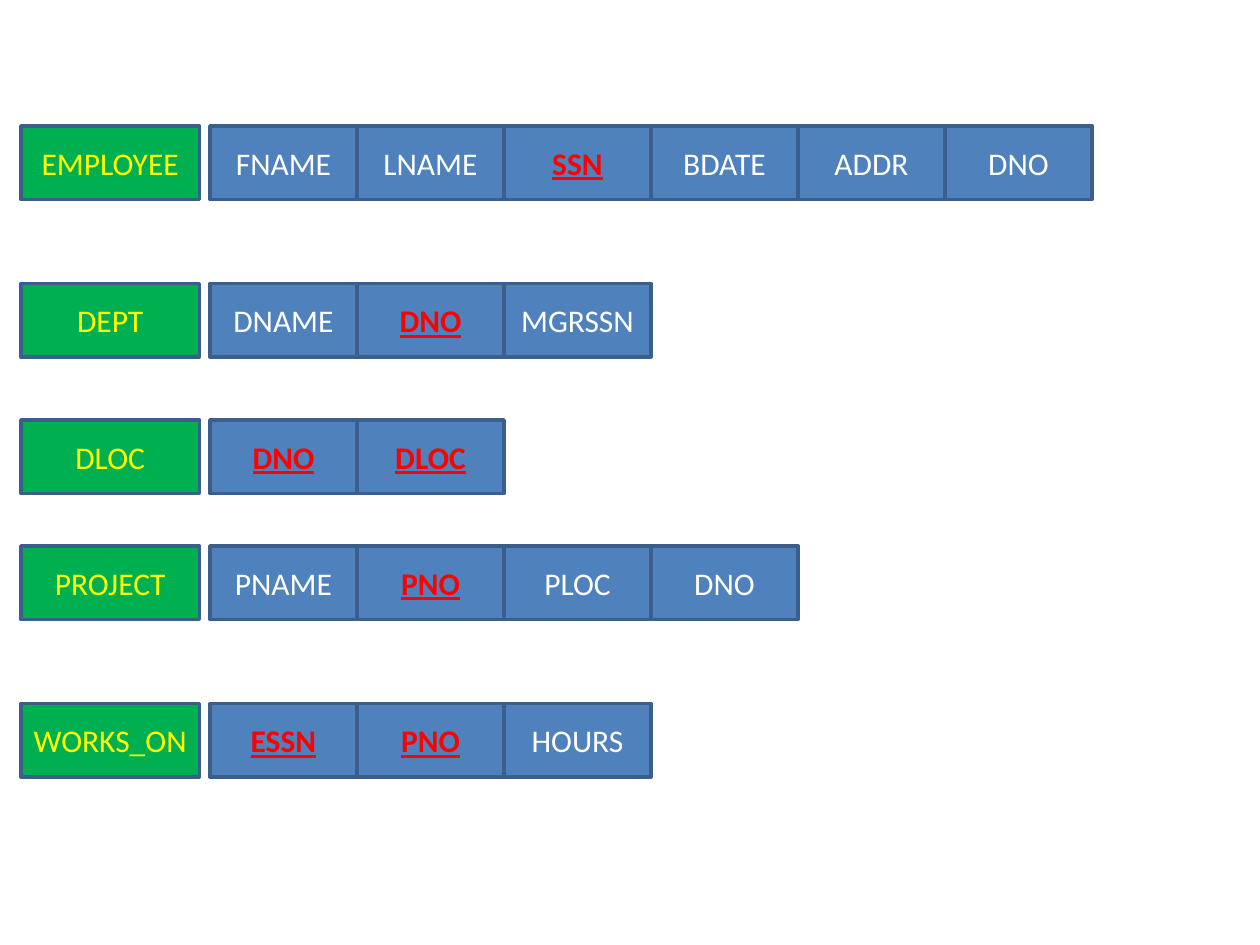
from dataclasses import dataclass

from pptx import Presentation
from pptx.dml.color import RGBColor
from pptx.enum.shapes import MSO_SHAPE
from pptx.enum.text import MSO_ANCHOR, PP_ALIGN
from pptx.slide import Slide
from pptx.util import Inches, Pt

# Grid: twelve units to the inch, so the slide is 120 columns by 90 rows
UNIT = Inches(1) // 12
SLIDE_COLUMNS, SLIDE_ROWS = 120, 90
NAME_LEFT, NAME_WIDTH = 2, 17
FIELD_LEFT, FIELD_WIDTH = 20, 14
BOX_HEIGHT = 7


@dataclass(frozen=True)
class Theme:
    font: str = "Calibri"
    text_size: Pt = Pt(18)
    line_width: Pt = Pt(2)
    outline: RGBColor = RGBColor(0x3A, 0x5F, 0x8C)
    field_fill: RGBColor = RGBColor(0x4F, 0x81, 0xBD)
    field_text: RGBColor = RGBColor(0xFF, 0xFF, 0xFF)
    key_text: RGBColor = RGBColor(0xFF, 0x00, 0x00)
    name_fill: RGBColor = RGBColor(0x00, 0xB0, 0x50)
    name_text: RGBColor = RGBColor(0xFF, 0xFF, 0x00)


@dataclass(frozen=True)
class Relation:
    name: str
    row: int
    fields: tuple[str, ...]
    keys: tuple[str, ...]


THEME = Theme()

RELATIONS = (
    Relation("EMPLOYEE", 12, ("FNAME", "LNAME", "SSN", "BDATE", "ADDR", "DNO"), ("SSN",)),
    Relation("DEPT", 27, ("DNAME", "DNO", "MGRSSN"), ("DNO",)),
    Relation("DLOC", 40, ("DNO", "DLOC"), ("DNO", "DLOC")),
    Relation("PROJECT", 52, ("PNAME", "PNO", "PLOC", "DNO"), ("PNO",)),
    Relation("WORKS_ON", 67, ("ESSN", "PNO", "HOURS"), ("ESSN", "PNO")),
)


def draw_box(slide: Slide, label: str, column: int, row: int, width: int,
             fill: RGBColor, color: RGBColor, is_key: bool = False) -> None:
    shape = slide.shapes.add_shape(
        MSO_SHAPE.RECTANGLE, column * UNIT, row * UNIT, width * UNIT, BOX_HEIGHT * UNIT)
    shape.shadow.inherit = False
    shape.fill.solid()
    shape.fill.fore_color.rgb = fill
    shape.line.color.rgb = THEME.outline
    shape.line.width = THEME.line_width

    shape.text_frame.vertical_anchor = MSO_ANCHOR.MIDDLE
    paragraph = shape.text_frame.paragraphs[0]
    paragraph.alignment = PP_ALIGN.CENTER
    run = paragraph.add_run()
    run.text = label
    run.font.name = THEME.font
    run.font.size = THEME.text_size
    run.font.color.rgb = color
    if is_key:
        run.font.bold = True
        run.font.underline = True


def draw_fields(slide: Slide, relation: Relation) -> None:
    for index, field in enumerate(relation.fields):
        is_key = field in relation.keys
        draw_box(slide, field, FIELD_LEFT + index * FIELD_WIDTH, relation.row, FIELD_WIDTH,
                 THEME.field_fill, THEME.key_text if is_key else THEME.field_text, is_key)


def draw_name(slide: Slide, relation: Relation) -> None:
    draw_box(slide, relation.name, NAME_LEFT, relation.row, NAME_WIDTH,
             THEME.name_fill, THEME.name_text)


def main() -> None:
    presentation = Presentation()
    presentation.slide_width = SLIDE_COLUMNS * UNIT
    presentation.slide_height = SLIDE_ROWS * UNIT
    slide = presentation.slides.add_slide(presentation.slide_layouts[6])

    # Attributes of each relation, with its key underlined
    for relation in RELATIONS:
        draw_fields(slide, relation)

    # Relation names in the left column
    for relation in RELATIONS:
        draw_name(slide, relation)

    presentation.save("out.pptx")


if __name__ == "__main__":
    main()
